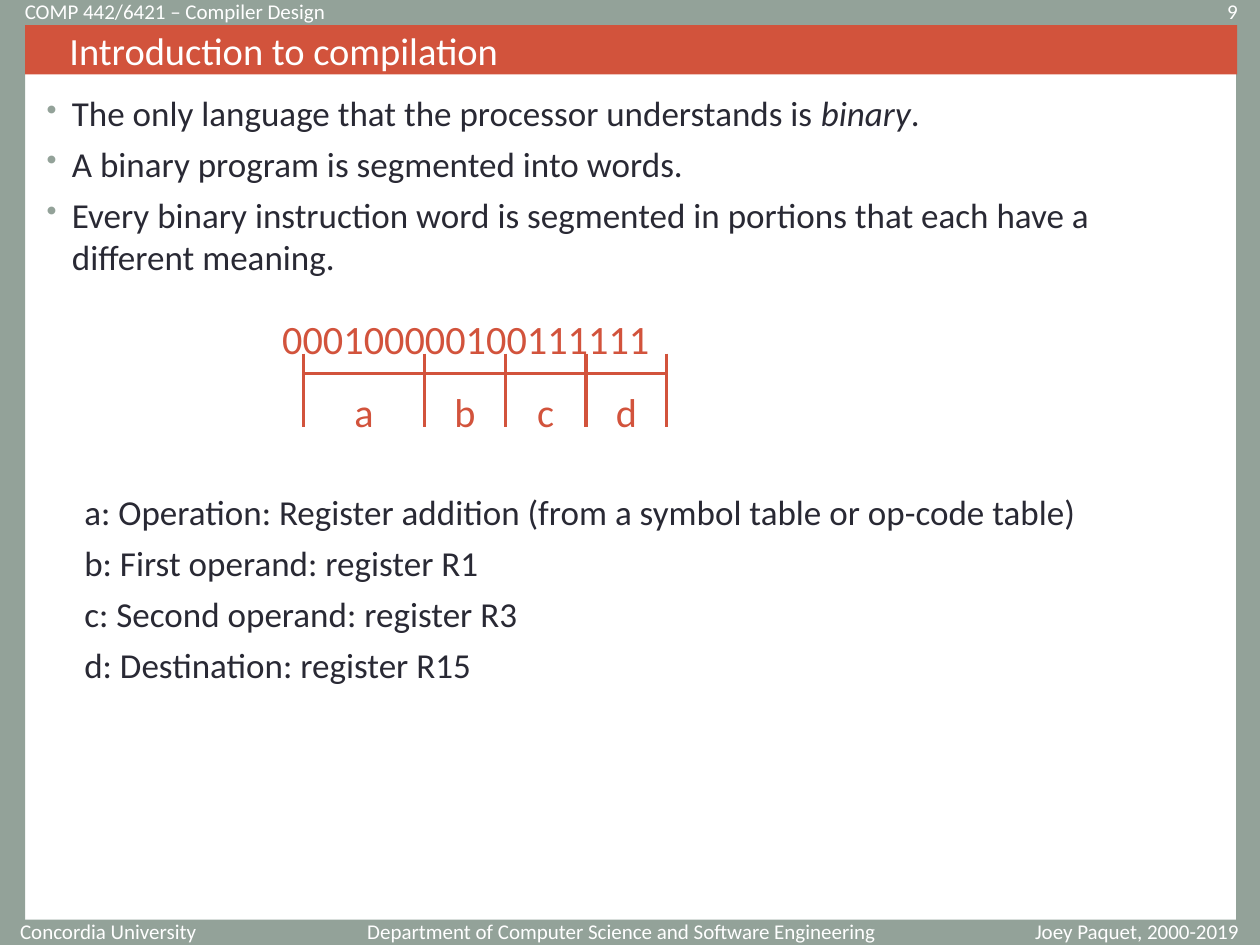
from itertools import accumulate

from lxml import etree
from pptx import Presentation
from pptx.dml.color import RGBColor
from pptx.enum.shapes import MSO_CONNECTOR, MSO_SHAPE
from pptx.enum.text import MSO_ANCHOR, PP_ALIGN
from pptx.oxml.ns import qn
from pptx.util import Cm, Pt

LEFT, CENTER, RIGHT = PP_ALIGN.LEFT, PP_ALIGN.CENTER, PP_ALIGN.RIGHT
TOP, MIDDLE = MSO_ANCHOR.TOP, MSO_ANCHOR.MIDDLE
RECTANGLE, STRAIGHT = MSO_SHAPE.RECTANGLE, MSO_CONNECTOR.STRAIGHT

FONT = "Calibri"
COLORS = {"frame": "93A299", "accent": "D2533C", "text": "292934", "light": "FFFFFF"}
WIDTH, HEIGHT = 25.4, 19.05


def color(name):
    return RGBColor.from_string(COLORS[name])


def add_bar(slide, left, top, width, height, fill):
    shape = slide.shapes.add_shape(RECTANGLE, Cm(left), Cm(top), Cm(width), Cm(height))
    shape.shadow.inherit = False
    shape.fill.solid()
    shape.fill.fore_color.rgb = color(fill)
    shape.line.fill.background()
    return shape


def style(paragraph, size, font_color, alignment=LEFT):
    paragraph.alignment = alignment
    paragraph.font.name = FONT
    paragraph.font.size = Pt(size)
    paragraph.font.color.rgb = color(font_color)


def add_text(slide, left, top, width, height, lines, size, font_color,
             alignment=LEFT, anchor=TOP, bulleted=False):
    """Add a text box with one paragraph for each line."""
    shape = slide.shapes.add_textbox(Cm(left), Cm(top), Cm(width), Cm(height))
    frame = shape.text_frame
    frame.word_wrap = True
    frame.vertical_anchor = anchor
    frame.text = "\n".join(lines)
    for index, paragraph in enumerate(frame.paragraphs):
        if bulleted:
            add_bullet(paragraph)
        if index:
            paragraph.space_before = Pt(5)
        style(paragraph, size, font_color, alignment)
    return frame


def add_bullet(paragraph):
    properties = paragraph._p.get_or_add_pPr()
    properties.set("marL", str(Cm(0.51)))
    properties.set("indent", str(-Cm(0.51)))
    bullet_color = etree.SubElement(properties, qn("a:buClr"))
    etree.SubElement(bullet_color, qn("a:srgbClr"), val=COLORS["frame"])
    etree.SubElement(properties, qn("a:buSzPct"), val="85000")
    etree.SubElement(properties, qn("a:buChar"), char="•")


def add_line(slide, x1, y1, x2, y2):
    line = slide.shapes.add_connector(STRAIGHT, Cm(x1), Cm(y1), Cm(x2), Cm(y2))
    line.line.color.rgb = color("accent")
    line.line.width = Pt(1.75)
    etree.SubElement(line._element.spPr, qn("a:effectLst"))


def add_frame(slide, width, height):
    """Border bars with the header and footer texts."""
    side = 0.51
    for box in [(0, 0, width, side), (0, height - side, width, side),
                (0, 0, side, height), (width - 0.48, 0, 0.48, height)]:
        add_bar(slide, *box, "frame")

    header, footer = 0.08, height - 0.43
    captions = [
        (0.25, header, 14.22, "COMP 442/6421 – Compiler Design", LEFT),
        (22.23, header, 2.97, "9", RIGHT),
        (0.08, footer, 4.13, "Concordia University", RIGHT),
        (7.11, footer, 10.8, "Department of Computer Science and Software Engineering", RIGHT),
        (20.29, footer, 5.26, "Joey Paquet, 2000-2019", CENTER),
    ]
    for left, top, box_width, text, alignment in captions:
        add_text(slide, left, top, box_width, 0.3, [text], 12, "light", alignment, MIDDLE)


def add_title(slide, left, top, width, height, text):
    shape = add_bar(slide, left, top, width, height, "accent")
    frame = shape.text_frame
    frame.margin_left = Cm(0.89)
    frame.vertical_anchor = MIDDLE
    frame.text = text
    style(frame.paragraphs[0], 22, "light")


def add_points(slide, left, top, width, height):
    frame = add_text(slide, left, top, width, height, [
        "The only language that the processor understands is ",
        "A binary program is segmented into words.",
        "Every binary instruction word is segmented in portions "
        "that each have a different meaning.",
    ], 20, "text", bulleted=True)
    first = frame.paragraphs[0]
    for text, italic in [("binary", True), (".", False)]:
        run = first.add_run()
        run.text = text
        run.font.italic = italic


def add_instruction_word(slide, left, top, width, height):
    """Binary word, divided below into its labelled fields."""
    add_text(slide, left, top, width, 1.24, ["000100000100111111"], 23, "accent")

    fields = {"a": 6, "b": 4, "c": 4, "d": 4}
    bit = 7.32 / sum(fields.values())
    ticks = [left + 0.68 + bit * count for count in accumulate(fields.values(), initial=0)]
    rule = top + 1.3
    for label, start, end in zip(fields, ticks, ticks[1:]):
        add_line(slide, start, rule, end, rule)
        add_text(slide, (start + end) / 2 - 0.5, top + 1.47, 1, 1.24,
                 [label], 23, "accent", CENTER)
    for tick in ticks:
        add_line(slide, tick, top + 0.91, tick, top + height)


def add_legend(slide, left, top, width, height):
    add_text(slide, left, top, width, height, [
        "a: Operation: Register addition (from a symbol table or op-code table)",
        "b: First operand: register R1",
        "c: Second operand: register R3",
        "d: Destination: register R15",
    ], 20, "text")


def main():
    presentation = Presentation()
    presentation.slide_width, presentation.slide_height = Cm(WIDTH), Cm(HEIGHT)
    slide = presentation.slides.add_slide(presentation.slide_layouts[6])
    add_frame(slide, WIDTH, HEIGHT)
    add_title(slide, 0.51, 0.51, 24.43, 0.99, "Introduction to compilation")
    add_points(slide, 0.69, 1.73, 24, 4.2)
    add_instruction_word(slide, 5.44, 6.22, 8.86, 2.38)
    add_legend(slide, 1.45, 9.77, 23.24, 4.2)
    presentation.save("out.pptx")


if __name__ == "__main__":
    main()
